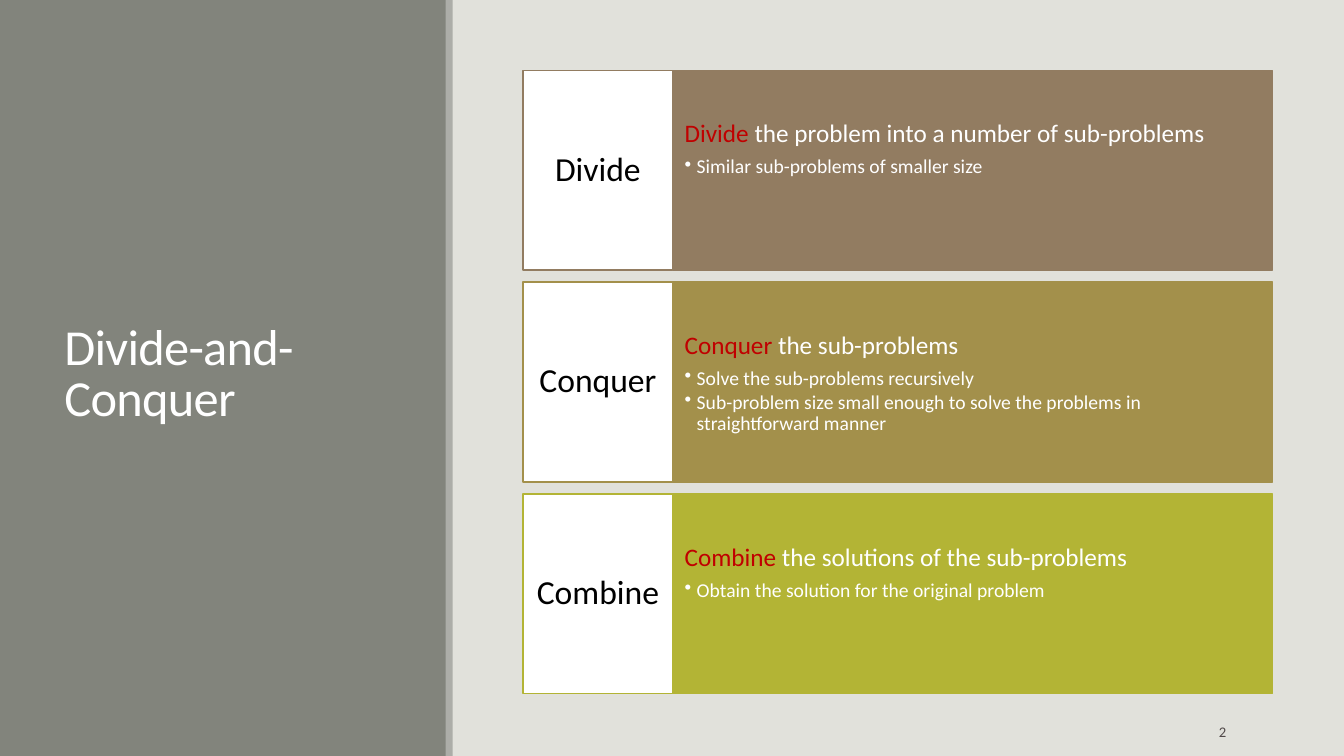
from dataclasses import dataclass

from lxml.etree import SubElement
from pptx import Presentation
from pptx.dml.color import RGBColor as Rgb
from pptx.enum.shapes import MSO_SHAPE as Shape
from pptx.enum.text import MSO_ANCHOR as Anchor, PP_ALIGN as Align
from pptx.oxml.ns import qn
from pptx.util import Inches, Pt


@dataclass(frozen=True)
class Theme:
    font: str = "Calibri"
    back: str = "E1E1DB"
    panel: str = "82847C"
    edge: str = "ACADA8"
    white: str = "FFFFFF"
    black: str = "000000"
    key: str = "C00000"
    note: str = "514949"
    title: float = 36
    label: float = 24
    lead: float = 18
    point: float = 14
    small: float = 10.5
    line: float = 1.25


STEPS = [
    ("Divide", "the problem into a number of sub-problems", "927C61",
     ["Similar sub-problems of smaller size"]),
    ("Conquer", "the sub-problems", "A3904B",
     ["Solve the sub-problems recursively",
      "Sub-problem size small enough to solve the problems in "
      "straightforward manner"]),
    ("Combine", "the solutions of the sub-problems", "B3B435",
     ["Obtain the solution for the original problem"]),
]
TOP, PITCH, HIGH = 0.7, 2.1, 1.98
LEFT, SPLIT, WIDE = 5.19, 6.67, 5.95


class Deck:
    def __init__(self, theme):
        self.theme = theme
        self.pres = Presentation()
        self.pres.slide_width = Inches(13.33)
        self.pres.slide_height = Inches(7.5)
        self.slide = self.pres.slides.add_slide(self.pres.slide_layouts[6])
        fill = self.slide.background.fill
        fill.solid()
        fill.fore_color.rgb = Rgb.from_string(theme.back)

    def rect(self, area, color, line=None):
        box = self.slide.shapes.add_shape(Shape.RECTANGLE, *map(Inches, area))
        box.shadow.inherit = False
        box.fill.solid()
        box.fill.fore_color.rgb = Rgb.from_string(color)
        if line:
            box.line.color.rgb = Rgb.from_string(line)
            box.line.width = Pt(self.theme.line)
        else:
            box.line.fill.background()
        return box

    def frame(self, box, side, ends, anchor):
        """Set the insets and anchor of a box and return its text frame."""
        frame = box.text_frame
        frame.word_wrap = True
        frame.margin_left = frame.margin_right = Inches(side)
        frame.margin_top = frame.margin_bottom = Inches(ends)
        frame.vertical_anchor = anchor
        return frame

    def style(self, run, size, color):
        run.font.name = self.theme.font
        run.font.size = Pt(size)
        run.font.color.rgb = Rgb.from_string(color)

    def para(self, para, text, size, color, align=Align.LEFT, gap=0.0, lead=0.9):
        """Fill a paragraph; gap is the space after as a share of the size."""
        para.text = text
        para.alignment = align
        para.line_spacing = lead
        para.space_after = Pt(round(size * gap, 1))
        for run in para.runs:
            self.style(run, size, color)

    def text(self, area, text, size, color, align=Align.LEFT, lead=1.0):
        box = self.slide.shapes.add_textbox(*map(Inches, area))
        frame = self.frame(box, 0.1, 0.05, Anchor.MIDDLE)
        self.para(frame.paragraphs[0], text, size, color, align, lead=lead)
        return frame.paragraphs[0].runs[0]

    def bullet(self, para):
        props = para._p.get_or_add_pPr()
        props.set("marL", str(Inches(0.12)))
        props.set("indent", str(-Inches(0.12)))
        SubElement(props, qn("a:buChar")).set("char", "•")

    def step(self, top, name, rest, color, points):
        """Draw one row: a coloured card and its white label."""
        look = self.theme
        card = self.rect((SPLIT, top, WIDE, HIGH), color, color)
        frame = self.frame(card, 0.12, 0.5, Anchor.TOP)
        head = frame.paragraphs[0]
        self.para(head, name, look.lead, look.key, gap=0.35)
        tail = head.add_run()
        tail.text = " " + rest
        self.style(tail, look.lead, look.white)
        for point in points:
            para = frame.add_paragraph()
            para.level = 1
            self.para(para, point, look.point, look.white, gap=0.15)
            self.bullet(para)

        label = self.rect((LEFT, top, SPLIT - LEFT, HIGH), look.white, color)
        frame = self.frame(label, 0.08, 0.2, Anchor.MIDDLE)
        self.para(frame.paragraphs[0], name, look.label, look.black,
                  Align.CENTER, gap=0.35)


def main():
    look = Theme()
    deck = Deck(look)
    deck.rect((0, 0, 4.43, 7.5), look.panel)
    title = deck.text((0.54, 0.57, 3.37, 6.31), "Divide-and-Conquer",
                      look.title, look.white, lead=0.85)
    title._r.get_or_add_rPr().set("spc", "-50")
    deck.rect((4.42, 0, 0.07, 7.5), look.edge)
    deck.text((11.07, 7.06, 1.19, 0.4), "2", look.small, look.note, Align.RIGHT)
    for row, step in enumerate(STEPS):
        deck.step(TOP + row * PITCH, *step)
    deck.pres.save("out.pptx")


if __name__ == "__main__":
    main()
